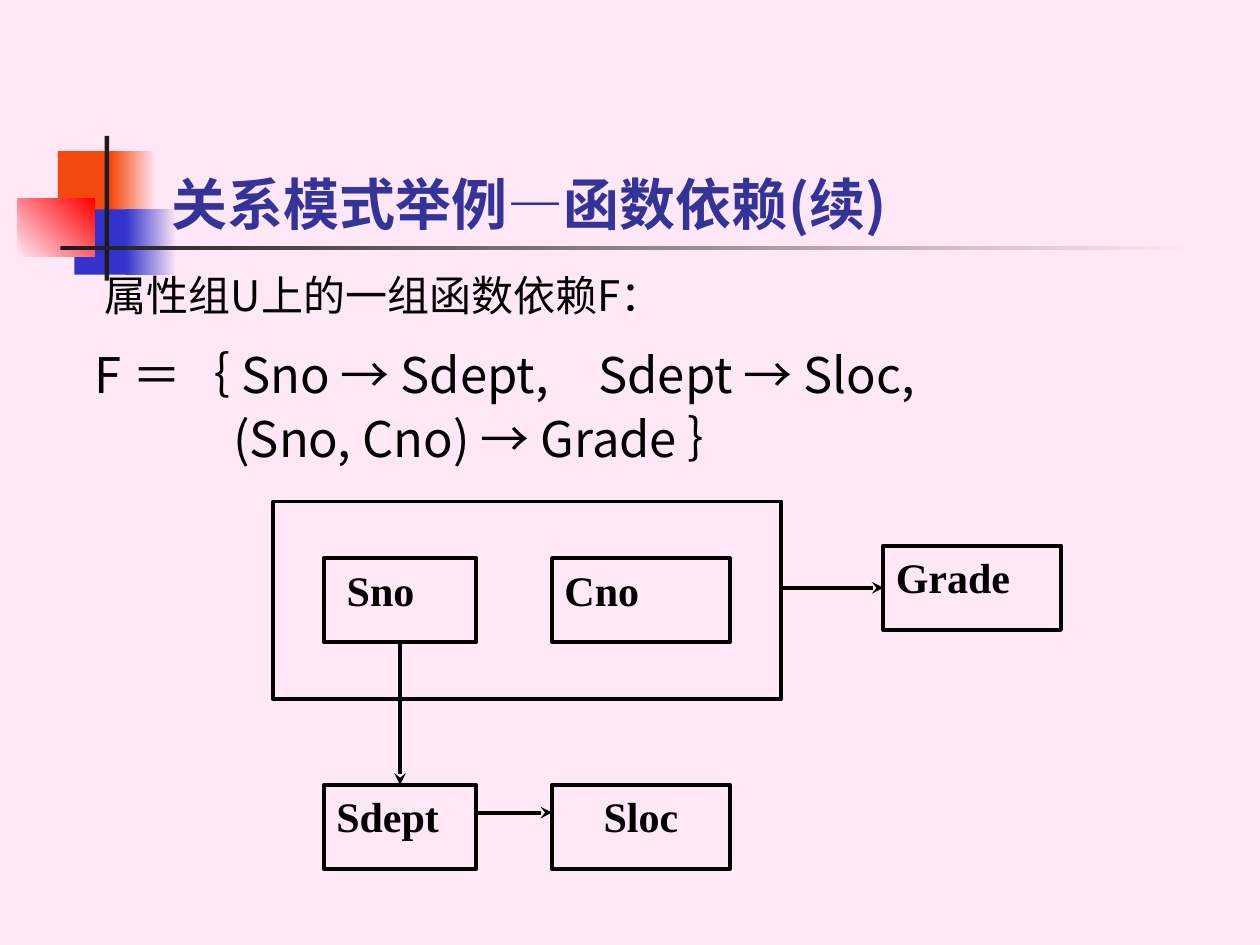
from lxml.etree import SubElement
from pptx import Presentation
from pptx.dml.color import RGBColor
from pptx.enum.shapes import MSO_CONNECTOR, MSO_SHAPE
from pptx.enum.text import MSO_ANCHOR, PP_ALIGN
from pptx.oxml.ns import qn
from pptx.util import Cm, Pt

COLORS = {
    "background": "FEE8F7", "title": "333399", "ink": "000000",
    "orange": "F4490C", "blue": "3333CC", "red": "FF0000", "rule": "1C1C1C",
}
SANS, SERIF = "Noto Sans CJK SC", "Times New Roman"

TITLE = "关系模式举例—函数依赖(续)"
# text, size, indent (cm), space before (pt), line spacing
BODY = [
    ("属性组U上的一组函数依赖F：", 24, 0.97, 0, 1.0),
    ("F ＝｛ Sno → Sdept,\tSdept → Sloc,", 28, 0.76, 11, Pt(36.5)),
    ("(Sno, Cno) → Grade ｝", 28, 3.56, 0, Pt(36.5)),
]
SECOND_DEPENDENCY_TAB = 10.87

# left, top, width, height (cm), start colour, end colour, angle
ORNAMENTS = [
    (1.17, 3.05, 1.22, 1.32, "orange", None, 0),
    (2.24, 3.05, 0.91, 1.32, "orange", "background", 0),
    (1.5, 4.22, 1.17, 1.32, "blue", None, 0),
    (2.54, 4.22, 1.02, 1.32, "blue", "background", 0),
    (0.36, 4.01, 1.55, 1.17, "background", "red", 45),
    (2.11, 2.74, 0.09, 2.92, "rule", None, 0),
    (1.22, 4.95, 22.86, 0.1, "rule", "background", 0),
]

KEY_BOX = (5.51, 10.11, 10.24, 3.99)
KEY_ROW, DEPARTMENT_ROW, GRADE_ROW = 11.25, 15.82, 11.0
LEFT_COLUMN, MIDDLE_COLUMN, GRADE_COLUMN = 6.53, 11.13, 17.81
NARROW, WIDE, NODE_HEIGHT = 3.07, 3.58, 1.7
# name, left, top, width, extra left inset, alignment
NODES = [
    ("Sno", LEFT_COLUMN, KEY_ROW, NARROW, 0.21, PP_ALIGN.JUSTIFY),
    ("Cno", MIDDLE_COLUMN, KEY_ROW, WIDE, 0, PP_ALIGN.JUSTIFY),
    ("Sdept", LEFT_COLUMN, DEPARTMENT_ROW, NARROW, 0, PP_ALIGN.JUSTIFY),
    ("Sloc", MIDDLE_COLUMN, DEPARTMENT_ROW, WIDE, 0, PP_ALIGN.CENTER),
    ("Grade", GRADE_COLUMN, GRADE_ROW, WIDE, 0, PP_ALIGN.JUSTIFY),
]
SNO_CENTER = LEFT_COLUMN + NARROW / 2
GRADE_MIDDLE = GRADE_ROW + NODE_HEIGHT / 2
SLOC_ARROW_Y = DEPARTMENT_ROW + 0.56
ARROWS = [
    (SNO_CENTER, KEY_ROW + NODE_HEIGHT, SNO_CENTER, DEPARTMENT_ROW),
    (LEFT_COLUMN + NARROW, SLOC_ARROW_Y, MIDDLE_COLUMN, SLOC_ARROW_Y),
    (KEY_BOX[0] + KEY_BOX[2], GRADE_MIDDLE, GRADE_COLUMN, GRADE_MIDDLE),
]


def rgb(name):
    return RGBColor.from_string(COLORS[name])


def cms(*lengths):
    return [Cm(length) for length in lengths]


def place(shape, *box):
    shape.left, shape.top, shape.width, shape.height = cms(*box)


def set_font(paragraph, face, size, color, bold=False):
    """Set the paragraph font for Latin and East Asian characters alike."""
    font = paragraph.font
    font.name, font.size, font.bold = face, Pt(size), bold
    font.color.rgb = rgb(color)
    properties = paragraph._p.pPr.find(qn("a:defRPr"))
    SubElement(properties, qn("a:ea"), typeface=face)


def add_rectangle(slide, *box):
    rectangle = slide.shapes.add_shape(MSO_SHAPE.RECTANGLE, *cms(*box))
    rectangle.shadow.inherit = False
    return rectangle


def add_ornament(slide, depth, left, top, width, height, start, end, angle):
    """Add a borderless block at the given depth, behind the placeholders."""
    block = add_rectangle(slide, left, top, width, height)
    block.line.fill.background()
    if end:
        block.fill.gradient()
        block.fill.gradient_angle = angle
        for stop, color in zip(block.fill.gradient_stops, (start, end)):
            stop.color.rgb = rgb(color)
    else:
        block.fill.solid()
        block.fill.fore_color.rgb = rgb(start)
    slide.shapes._spTree.insert(2 + depth, block._element)


def outline(shape):
    shape.line.color.rgb = rgb("ink")
    shape.line.width = Pt(2.25)


def add_box(slide, *box):
    frame = add_rectangle(slide, *box)
    frame.fill.background()
    outline(frame)
    return frame


def add_node(slide, name, left, top, width, inset, alignment):
    text = add_box(slide, left, top, width, NODE_HEIGHT).text_frame
    text.vertical_anchor = MSO_ANCHOR.TOP
    text.margin_left = Cm(0.25 + inset)
    text.text = name
    text.paragraphs[0].alignment = alignment
    set_font(text.paragraphs[0], SERIF, 24, "ink", bold=True)


def add_arrow(slide, *ends):
    arrow = slide.shapes.add_connector(MSO_CONNECTOR.STRAIGHT, *cms(*ends))
    outline(arrow)
    SubElement(arrow.line._get_or_add_ln(), qn("a:tailEnd"), type="stealth")
    SubElement(arrow._element.spPr, qn("a:effectLst"))


def fill_title(title):
    place(title, 3.2, 1.73, 21.64, 3.17)
    title.text_frame.text = TITLE
    title.text_frame.vertical_anchor = MSO_ANCHOR.BOTTOM
    heading = title.text_frame.paragraphs[0]
    heading.alignment = PP_ALIGN.LEFT
    set_font(heading, SANS, 32, "title", bold=True)


def fill_body(body):
    place(body, 0.89, 5.31, 23.44, 11.43)
    text = body.text_frame
    text.text = "\n".join(line[0] for line in BODY)
    for paragraph, (_, size, indent, before, spacing) in zip(text.paragraphs, BODY):
        properties = paragraph._p.get_or_add_pPr()
        properties.set("marL", str(Cm(indent)))
        properties.set("indent", "0")
        SubElement(properties, qn("a:buNone"))
        tabs = SubElement(properties, qn("a:tabLst"))
        SubElement(tabs, qn("a:tab"), pos=str(Cm(SECOND_DEPENDENCY_TAB)), algn="l")
        paragraph.space_before = Pt(before)
        paragraph.line_spacing = spacing
        set_font(paragraph, SANS, size, "ink")


def main():
    deck = Presentation()
    deck.slide_width, deck.slide_height = cms(25.4, 19.05)
    slide = deck.slides.add_slide(deck.slide_layouts[1])
    slide.background.fill.solid()
    slide.background.fill.fore_color.rgb = rgb("background")
    fill_title(slide.shapes.title)
    fill_body(slide.placeholders[1])
    for depth, ornament in enumerate(ORNAMENTS):
        add_ornament(slide, depth, *ornament)
    add_box(slide, *KEY_BOX)
    for node in NODES:
        add_node(slide, *node)
    for arrow in ARROWS:
        add_arrow(slide, *arrow)
    deck.save("out.pptx")


if __name__ == "__main__":
    main()
